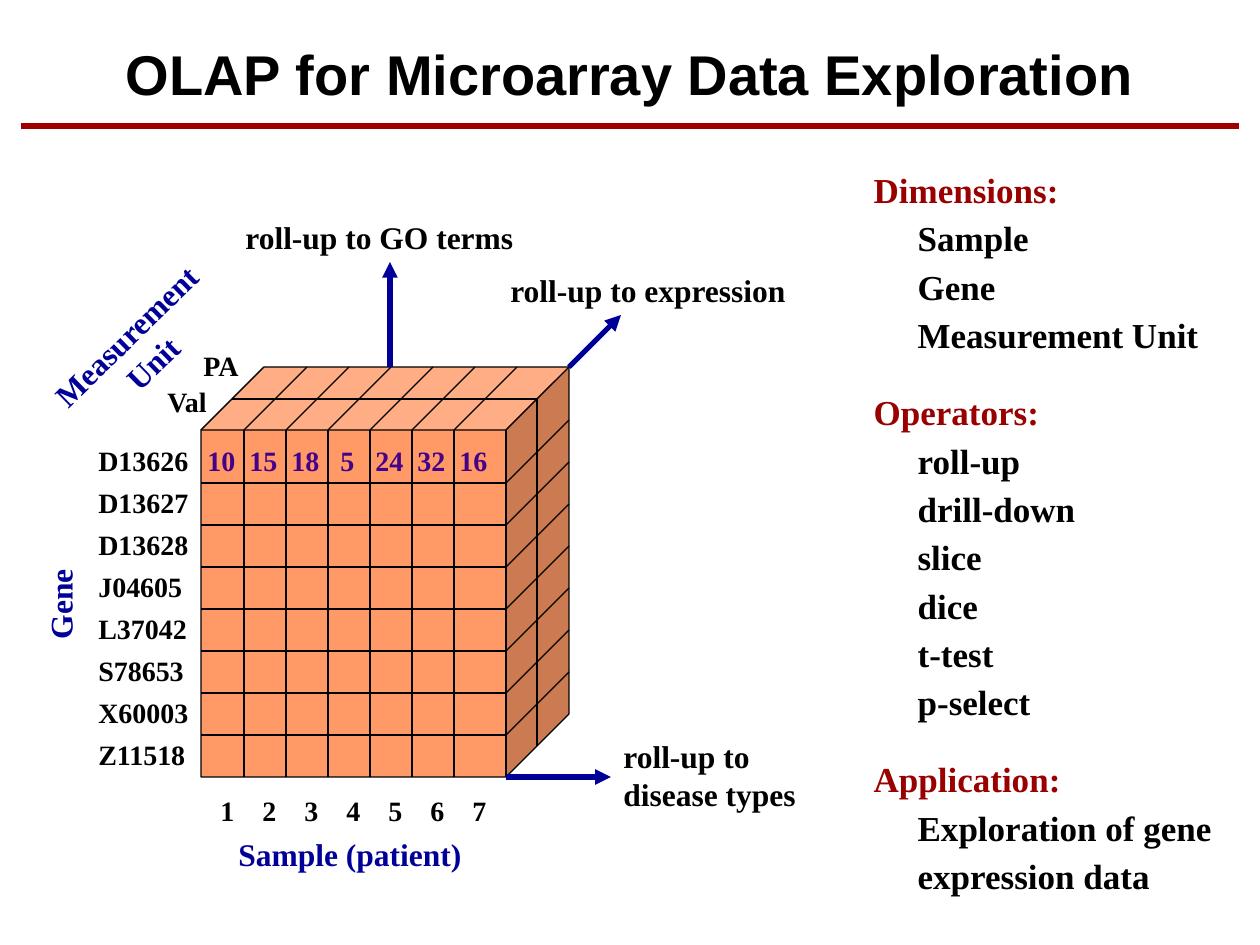
"""Builds a slide with an OLAP data cube for microarray exploration."""
from dataclasses import dataclass

from lxml import etree
from pptx import Presentation
from pptx.dml.color import RGBColor
from pptx.enum.shapes import MSO_CONNECTOR, MSO_SHAPE
from pptx.enum.text import MSO_ANCHOR, MSO_AUTO_SIZE, PP_ALIGN
from pptx.oxml.ns import qn
from pptx.util import Emu, Pt

STRAIGHT = MSO_CONNECTOR.STRAIGHT
CUBE = MSO_SHAPE.CUBE
MIDDLE, TOP = MSO_ANCHOR.MIDDLE, MSO_ANCHOR.TOP
LEFT, CENTER = PP_ALIGN.LEFT, PP_ALIGN.CENTER
GROW, FIXED = MSO_AUTO_SIZE.SHAPE_TO_FIT_TEXT, MSO_AUTO_SIZE.NONE

SCALE = 914400 / 126
SERIF, SANS = "Times New Roman", "Arial"
COLORS = {
    "black": "000000", "rule": "9E0000", "heading": "990000",
    "axis": "000099", "value": "45008A", "cube": "FF9966",
}
X0, X1, Y0, Y1 = 201, 506, 430, 777
DEPTH, PITCH = 63, 42
COLUMNS = [244 + PITCH * i for i in range(6)]
ROWS = [483 + PITCH * i for i in range(7)]
GENES = ["D13626", "D13627", "D13628", "J04605",
         "L37042", "S78653", "X60003", "Z11518"]
SAMPLES = [1, 2, 3, 4, 5, 6, 7]
VALUES = [10, 15, 18, 5, 24, 32, 16]
OUTLINE = {
    "Dimensions:": ["Sample", "Gene", "Measurement Unit"],
    "Operators:": ["roll-up", "drill-down", "slice", "dice", "t-test", "p-select"],
    "Application:": ["Exploration of gene", "expression data"],
}


@dataclass
class Label:
    text: str
    x: int
    y: int
    w: int
    h: int
    size: int = 18
    color: str = "black"
    align: PP_ALIGN = LEFT
    rotation: float = 0
    spacing: int = 0
    first_tab: int = 0


@dataclass
class Line:
    x1: int
    y1: int
    x2: int
    y2: int
    color: str = "black"
    width: float = 0.75
    arrow: bool = False


def px(n: int) -> Emu:
    """Turn pixels into EMU."""
    return Emu(round(n * SCALE))


def rgb(name: str) -> RGBColor:
    """Look up a named colour."""
    return RGBColor.from_string(COLORS[name])


def place(sp, x: int, y: int, w: int, h: int) -> None:
    """Set the frame of a shape."""
    sp.left, sp.top, sp.width, sp.height = px(x), px(y), px(w), px(h)


def format_runs(p, size: int, color: str, font: str = SERIF) -> None:
    """Make every run of a paragraph bold in the given style."""
    for r in p.runs:
        r.font.name, r.font.size, r.font.bold = font, Pt(size), True
        r.font.color.rgb = rgb(color)


def draw_label(slide, label: Label) -> None:
    """Add a text box, with centred tab stops when asked for."""
    sp = slide.shapes.add_textbox(px(label.x), px(label.y), px(label.w), px(label.h))
    sp.rotation = label.rotation
    tf = sp.text_frame
    tf.text = label.text
    tf.word_wrap, tf.auto_size = bool(label.first_tab), GROW
    for p in tf.paragraphs:
        p.alignment = label.align
        if label.spacing:
            p.line_spacing = Pt(label.spacing)
        if label.first_tab:
            tabs = etree.SubElement(p._p.get_or_add_pPr(), qn("a:tabLst"))
            for i in range(len(SAMPLES)):
                stop = px(label.first_tab + PITCH * i)
                etree.SubElement(tabs, qn("a:tab"), pos=str(stop), algn="ctr")
        format_runs(p, label.size, label.color)


def draw_line(slide, line: Line) -> None:
    """Add a straight line or arrow."""
    c = slide.shapes.add_connector(
        STRAIGHT, px(line.x1), px(line.y1), px(line.x2), px(line.y2))
    c.line.color.rgb, c.line.width = rgb(line.color), Pt(line.width)
    spPr = c._element.spPr
    if line.arrow:
        etree.SubElement(spPr.find(qn("a:ln")), qn("a:tailEnd"), type="triangle")
    etree.SubElement(spPr, qn("a:effectLst"))


def draw_cube(slide) -> None:
    """Add the cube and the grid on its three faces."""
    sp = slide.shapes.add_shape(
        CUBE, px(X0), px(Y0 - DEPTH), px(X1 - X0 + DEPTH), px(Y1 - Y0 + DEPTH))
    sp.adjustments[0] = DEPTH / (X1 - X0 + DEPTH)
    sp.shadow.inherit = False
    sp.fill.solid()
    sp.fill.fore_color.rgb = rgb("cube")
    sp.line.color.rgb, sp.line.width = rgb("black"), Pt(0.75)
    half = DEPTH // 2
    lines = [Line(X0 + half, Y0 - half, X1 + half, Y0 - half),
             Line(X1 + half, Y0 - half, X1 + half, Y1 - half)]
    for x in COLUMNS:
        lines += [Line(x, Y0, x, Y1), Line(x, Y0, x + DEPTH, Y0 - DEPTH)]
    for y in ROWS:
        lines += [Line(X0, y, X1, y), Line(X1, y, X1 + DEPTH, y - DEPTH)]
    for line in lines:
        draw_line(slide, line)


def fill_title(sp) -> None:
    """Write the slide title."""
    place(sp, 21, 31, 1218, 84)
    tf = sp.text_frame
    tf.text = "OLAP for Microarray Data Exploration"
    tf.vertical_anchor, tf.auto_size = MIDDLE, FIXED
    tf.paragraphs[0].alignment = CENTER
    format_runs(tf.paragraphs[0], 32, "black", SANS)


def fill_outline(sp) -> None:
    """Write the headings and their indented items."""
    place(sp, 861, 156, 378, 747)
    tf = sp.text_frame
    tf.vertical_anchor, tf.auto_size = TOP, FIXED
    rows = [(text, text in OUTLINE)
            for head, items in OUTLINE.items() for text in [head, *items]]
    tf.text = "\n".join(text for text, _ in rows)
    for i, (p, (_, is_head)) in enumerate(zip(tf.paragraphs, rows)):
        p.line_spacing = 1.15
        p.space_before = Pt(16.5 if is_head and i else 0)
        pPr = p._p.get_or_add_pPr()
        pPr.set("marL", str(px(0 if is_head else 44)))
        pPr.set("indent", "0")
        etree.SubElement(pPr, qn("a:buNone"))
        format_runs(p, 20, "heading" if is_head else "black")


def tabbed(numbers: list[int]) -> str:
    """Put a tab before each number."""
    return "".join(f"\t{n}" for n in numbers)


LABELS = [
    Label("Measurement\nUnit", 34, 305, 210, 88, color="axis", align=CENTER, rotation=315.7),
    Label("Gene", 0, 579, 120, 50, color="axis", align=CENTER, rotation=270),
    Label("Sample (patient)", 226, 829, 248, 50, color="axis"),
    Label(tabbed(SAMPLES), 208, 787, 310, 47, 16, first_tab=7),
    Label("\n".join(GENES), 86, 429, 115, 349, 16, spacing=24),
    Label("PA", 191, 342, 62, 47, 16),
    Label("Val", 155, 378, 67, 47, 16),
    Label(tabbed(VALUES), 190, 431, 336, 93, 16, "value", spacing=23, first_tab=19),
    Label("roll-up to\ndisease types", 611, 731, 198, 88),
    Label("roll-up to GO terms", 233, 212, 294, 50),
    Label("roll-up to expression", 498, 265, 301, 50),
]
ARROWS = [
    Line(X1, Y1, 611, Y1, "axis", 3, True),
    Line(390, Y0 - DEPTH, 390, 262, "axis", 3, True),
    Line(X1 + DEPTH, Y0 - DEPTH, 621, 315, "axis", 3, True),
]


def main() -> None:
    """Build and save the slide."""
    prs = Presentation()
    prs.slide_width, prs.slide_height = px(1260), px(945)
    slide = prs.slides.add_slide(prs.slide_layouts[1])
    fill_title(slide.shapes.title)
    fill_outline(slide.placeholders[1])
    draw_line(slide, Line(21, 126, 1239, 126, "rule", 3))
    draw_cube(slide)
    for arrow in ARROWS:
        draw_line(slide, arrow)
    for label in LABELS:
        draw_label(slide, label)
    prs.save("out.pptx")


if __name__ == "__main__":
    main()
